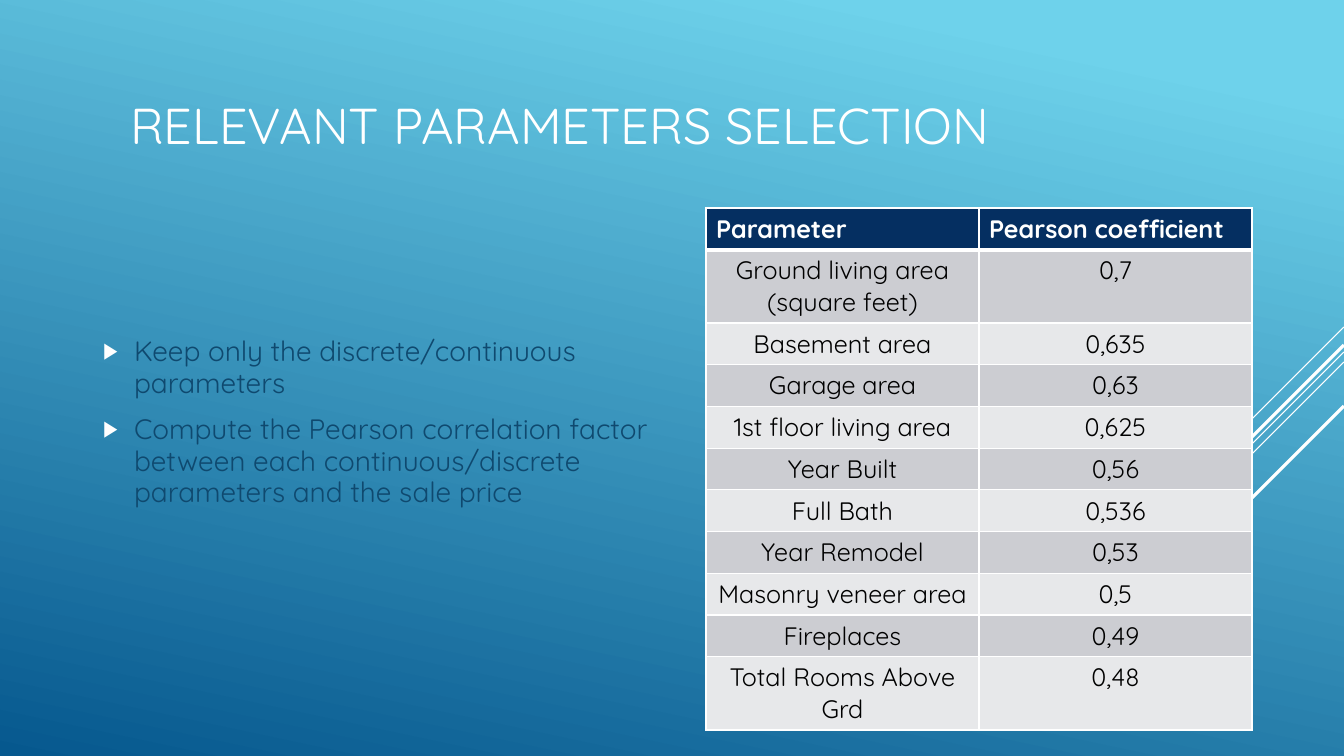
from lxml.etree import SubElement
from pptx import Presentation
from pptx.dml.color import RGBColor
from pptx.enum.shapes import MSO_CONNECTOR
from pptx.enum.text import MSO_ANCHOR, MSO_AUTO_SIZE, PP_ALIGN
from pptx.oxml import parse_xml
from pptx.oxml.ns import nsdecls, qn
from pptx.util import Emu, Pt

THEME = {
    "font": "Quicksand",
    "white": "FFFFFF", "black": "000000", "ink": "0F496F",
    "sky": "6ED2EB", "deep": "06588E", "navy": "052F61",
    "bands": ("CCCDD2", "E7E8EA"),
    "title": 36, "body": 20, "table": 18,
}
WIDTH, HEIGHT = 1344, 756
EMU_PER_PX = 12192000 / WIDTH


def px(length):
    return Emu(round(length * EMU_PER_PX))


def style(para, size, color, bold=False):
    for span in para.runs:
        span.font.name = THEME["font"]
        span.font.size = Pt(size)
        span.font.bold = bold
        span.font.color.rgb = RGBColor.from_string(color)


deck = Presentation()
deck.slide_width, deck.slide_height = px(WIDTH), px(HEIGHT)
page = deck.slides.add_slide(deck.slide_layouts[1])

# Background gradient
backdrop = page.background.fill
backdrop.gradient()
backdrop.gradient_angle = 258
for stop, position, color in zip(backdrop.gradient_stops, (0.1, 1), (THEME["sky"], THEME["deep"])):
    stop.position = position
    stop.color.rgb = RGBColor.from_string(color)

# Diagonal lines from the right edge: start height, run, weight
for top, run, weight in ((327, 101, 0.75), (352, 329, 0.75), (362, 209, 0.75),
                         (345, 193, 2.25), (406, 140, 2.25)):
    ray = page.shapes.add_connector(MSO_CONNECTOR.STRAIGHT, px(WIDTH), px(top),
                                    px(WIDTH - run), px(top + run))
    ray.line.color.rgb = RGBColor.from_string(THEME["white"])
    ray.line.width = Pt(weight)
    SubElement(ray._element.spPr, qn("a:effectLst"))

# Title and body placeholders
title, body = page.shapes.title, page.placeholders[1]
for box, frame in ((title, (120, 41, 940, 166)), (body, (93, 278, 572, 289))):
    box.left, box.top, box.width, box.height = map(px, frame)
    box.text_frame.word_wrap = True
    box.text_frame.auto_size = MSO_AUTO_SIZE.NONE
    box.text_frame.vertical_anchor = MSO_ANCHOR.MIDDLE

title.text_frame.text = "RELEVANT PARAMETERS SELECTION"
heading = title.text_frame.paragraphs[0]
heading.alignment = PP_ALIGN.LEFT
style(heading, THEME["title"], THEME["white"])

# Bulleted list
body.text_frame.text = (
    "Keep only the discrete/continuous parameters\n"
    "Compute the Pearson correlation factor between each continuous/discrete "
    "parameters and the sale price"
)
for para in body.text_frame.paragraphs:
    para.line_spacing = 0.95
    para.space_before, para.space_after = Pt(4), Pt(6)
    style(para, THEME["body"], THEME["ink"])
    props = para._p.get_or_add_pPr()
    props.set("marL", str(px(31)))
    props.set("indent", str(-px(31)))
    bullet_color = SubElement(props, qn("a:buClr"))
    SubElement(bullet_color, qn("a:srgbClr"), val=THEME["white"])
    SubElement(props, qn("a:buSzPct"), val="80000")
    SubElement(props, qn("a:buFont"), typeface="Arial")
    SubElement(props, qn("a:buChar"), char="▶")

# Coefficient table
ROWS = (
    ("Parameter", "Pearson coefficient"),
    ("Ground living area (square feet)", "0,7"),
    ("Basement area", "0,635"),
    ("Garage area", "0,63"),
    ("1st floor living area", "0,625"),
    ("Year Built", "0,56"),
    ("Full Bath", "0,536"),
    ("Year Remodel", "0,53"),
    ("Masonry veneer area", "0,5"),
    ("Fireplaces", "0,49"),
    ("Total Rooms Above Grd", "0,48"),
)
COLUMN, ROW = 273, 40
table = page.shapes.add_table(len(ROWS), 2, px(706), px(208),
                              px(2 * COLUMN), px(ROW * len(ROWS))).table
for r, texts in enumerate(ROWS):
    header = r == 0
    for c, text in enumerate(texts):
        cell = table.cell(r, c)
        cell.text = text
        para = cell.text_frame.paragraphs[0]
        para.alignment = PP_ALIGN.LEFT if header else PP_ALIGN.CENTER
        style(para, THEME["table"], THEME["white" if header else "black"], header)

        # White borders, thicker under the header
        props = cell._tc.get_or_add_tcPr()
        for side in "LRTB":
            thick = (r, side) in ((0, "B"), (1, "T"))
            props.append(parse_xml(
                f'<a:ln{side} {nsdecls("a")} w="{Pt(3 if thick else 1)}"><a:solidFill>'
                f'<a:srgbClr val="{THEME["white"]}"/></a:solidFill></a:ln{side}>'))
        cell.fill.solid()
        cell.fill.fore_color.rgb = RGBColor.from_string(
            THEME["navy"] if header else THEME["bands"][(r - 1) % 2])

deck.save("out.pptx")
